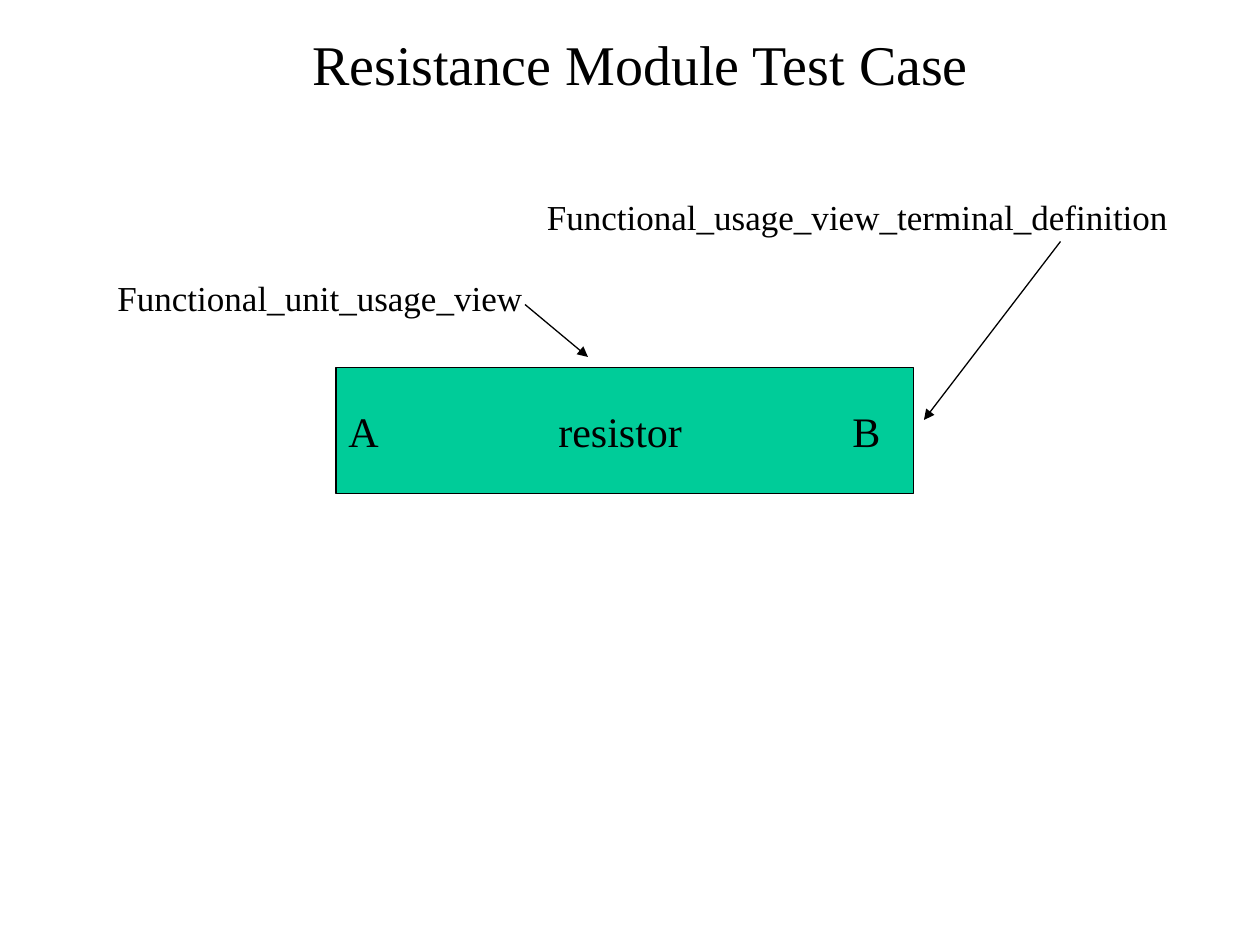
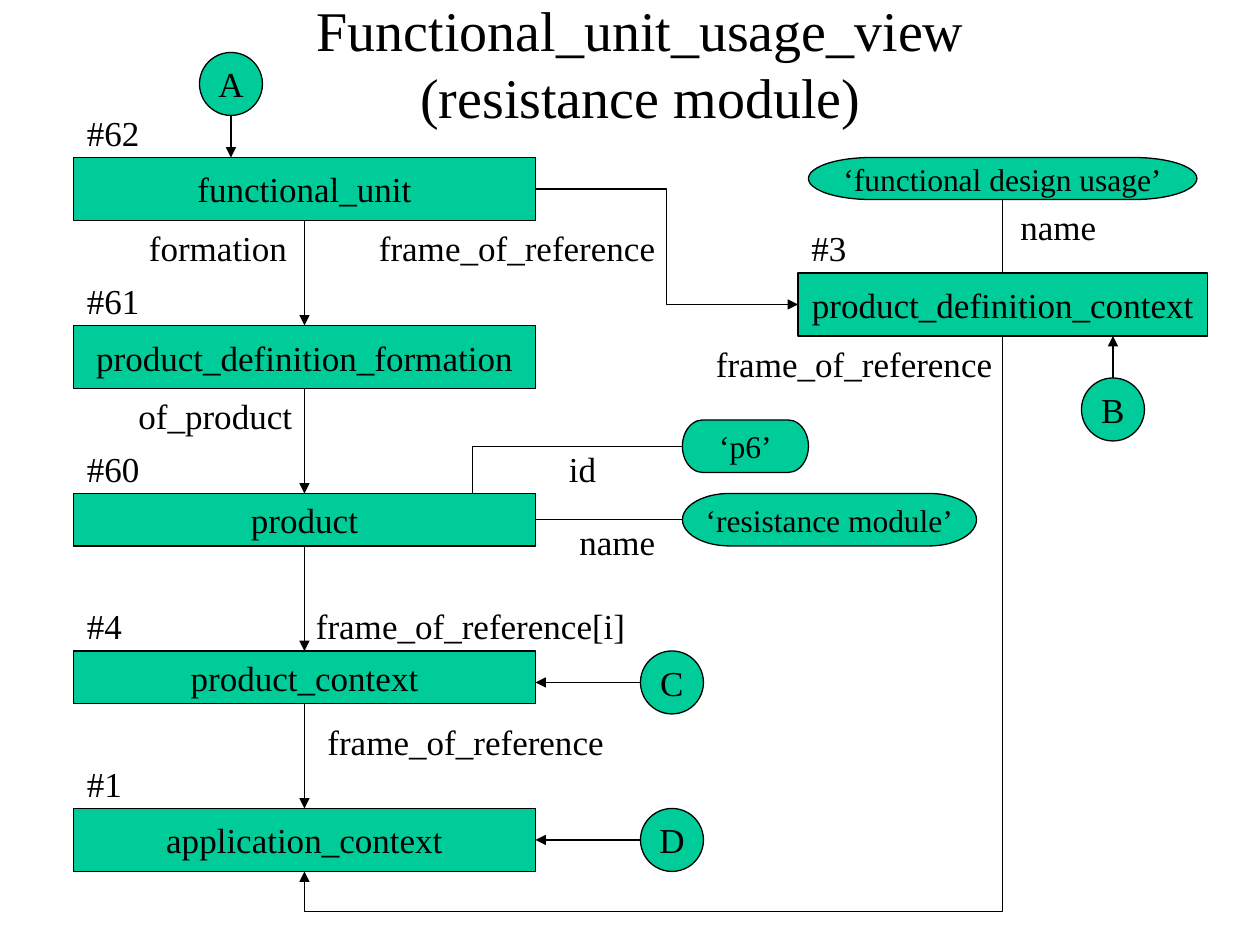
from lxml import etree
from pptx import Presentation
from pptx import util as u
from pptx.dml.color import RGBColor
from pptx.enum import shapes, text
from pptx.oxml.ns import qn

PX = 7620  # EMU per px, 120 px to the inch
FONT = "Times New Roman"
COLORS = {"ink": "000000", "node": "00CC99", "paper": "FFFFFF"}
TOP, LEFT, BOTTOM, RIGHT = range(4)
KIND = shapes.MSO_SHAPE


def color(name):
    return RGBColor.from_string(COLORS[name])


def px(*lengths):
    return [u.Emu(round(length * PX)) for length in lengths]


def midpoint(shape, side):
    """Middle of one side of a shape, in px."""
    x, y = shape.left / PX, shape.top / PX
    w, h = shape.width / PX, shape.height / PX
    return {TOP: (x + w / 2, y), LEFT: (x, y + h / 2),
            BOTTOM: (x + w / 2, y + h), RIGHT: (x + w, y + h / 2)}[side]


class Diagram:
    def __init__(self, deck):
        self.deck = deck
        self.slide = None

    def start_slide(self, heading):
        self.slide = self.deck.slides.add_slide(self.deck.slide_layouts[5])
        self.slide.background.fill.solid()
        self.slide.background.fill.fore_color.rgb = color("paper")
        title = self.slide.shapes.title
        title.left, title.top, title.width, title.height = px(100, 20, 1020, 80)
        self.set_text(title, heading, 32, text.PP_ALIGN.CENTER, wrap=True)

    def set_text(self, shape, words, size, align, wrap=False,
                 anchor=text.MSO_ANCHOR.MIDDLE):
        frame = shape.text_frame
        frame.auto_size = text.MSO_AUTO_SIZE.NONE
        frame.word_wrap = wrap
        frame.vertical_anchor = anchor
        frame.text = words
        for paragraph in frame.paragraphs:
            paragraph.alignment = align
            paragraph.font.name = FONT
            paragraph.font.size = u.Pt(size)
            paragraph.font.color.rgb = color("ink")

    def label(self, words, x, y, w, size=20):
        box = self.slide.shapes.add_textbox(*px(x, y, w, 53))
        self.set_text(box, words, size, text.PP_ALIGN.LEFT,
                      anchor=text.MSO_ANCHOR.TOP)

    def node(self, words, x, y, w, h, kind=KIND.RECTANGLE, size=20):
        shape = self.slide.shapes.add_shape(kind, *px(x, y, w, h))
        shape.shadow.inherit = False
        shape.fill.solid()
        shape.fill.fore_color.rgb = color("node")
        shape.line.color.rgb = color("ink")
        shape.line.width = u.Pt(0.75)
        if words:
            self.set_text(shape, words, size, text.PP_ALIGN.CENTER)
        return shape

    def entity(self, code, words, x, y, w, h):
        """Rectangle with its instance number above the top left corner."""
        self.label(code, x + 1, y - 50, 28 + 15 * len(code))
        return self.node(words, x, y, w, h)

    def value(self, words, x, y, w, h):
        return self.node(words, x, y, w, h, KIND.FLOWCHART_TERMINATOR, 18)

    def reference(self, letter, x, y):
        return self.node(letter, x, y, 60, 60, KIND.FLOWCHART_CONNECTOR)

    def link(self, begin, end, arrow=True, kind=shapes.MSO_CONNECTOR.STRAIGHT):
        """Line between two ends, each a point or a (shape, side) to join."""
        points = [e if isinstance(e[0], (int, float)) else midpoint(*e)
                  for e in (begin, end)]
        line = self.slide.shapes.add_connector(kind, *px(*points[0], *points[1]))
        if points[0] != begin:
            line.begin_connect(*begin)
        if points[1] != end:
            line.end_connect(*end)
        line.line.color.rgb = color("ink")
        line.line.width = u.Pt(0.75)
        properties = line._element.spPr
        if arrow:
            etree.SubElement(properties.find(qn("a:ln")), qn("a:tailEnd"),
                             type="triangle")
        etree.SubElement(properties, qn("a:effectLst"))
        return line

    def loop_below(self, upper, lower, reach):
        """Elbow from bottom to bottom; reach is the drop relative to the gap."""
        (x1, y1), (x2, y2) = midpoint(upper, BOTTOM), midpoint(lower, BOTTOM)
        cx, cy = (x1 + x2) / 2, (y1 + y2) / 2
        half_w, half_h = (y2 - y1) / 2, (x1 - x2) / 2
        # The elbow is laid out sideways, then turned a quarter
        line = self.link((cx - half_w, cy - half_h), (cx + half_w, cy + half_h),
                         kind=shapes.MSO_CONNECTOR.ELBOW)
        properties = line._element.spPr
        properties.find(qn("a:xfrm")).set("rot", "5400000")
        geometry = properties.find(qn("a:prstGeom"))
        guides = geometry.find(qn("a:avLst"))
        if guides is None:
            guides = etree.SubElement(geometry, qn("a:avLst"))
        etree.SubElement(guides, qn("a:gd"), name="adj1",
                         fmla=f"val {round(reach * 100000)}")


def resistor_slide(d):
    d.start_slide("Resistance Module Test Case")
    d.node("", 320, 350, 550, 120)
    for words, x, w in (("A", 320, 110), ("resistor", 520, 160), ("B", 800, 80)):
        d.label(words, x, 380, w, size=24)
    d.label("Functional_unit_usage_view", 100, 257, 409)
    d.link((500, 290), (560, 340))
    d.label("Functional_usage_view_terminal_definition", 509, 180, 616)
    d.link((1010, 230), (880, 400))


def usage_view_slide(d):
    d.start_slide("Functional_unit_usage_view\v(resistance module)")

    chain = [d.entity(code, words, 70, y, 440, h) for code, words, y, h in (
        ("#62", "functional_unit", 150, 60),
        ("#61", "product_definition_formation", 310, 60),
        ("#60", "product", 470, 50),
        ("#4", "product_context", 620, 50),
        ("#1", "application_context", 770, 60))]
    for upper, lower in zip(chain, chain[1:]):
        d.link((upper, BOTTOM), (lower, TOP))
    unit, _, product, _, application = chain

    context = d.entity("#3", "product_definition_context", 760, 260, 390, 60)
    d.link((unit, RIGHT), (context, LEFT), kind=shapes.MSO_CONNECTOR.ELBOW)
    d.loop_below(context, application, 1.075)

    usage = d.value("‘functional design usage’", 770, 150, 370, 40)
    d.link((usage, BOTTOM), (context, TOP), arrow=False)
    module = d.value("‘resistance module’", 650, 470, 280, 50)
    d.link((product, RIGHT), (module, LEFT), arrow=False)
    product_id = d.value("‘p6’", 650, 400, 120, 50)
    d.link((450, 470), (450, 425), arrow=False)
    d.link((450, 425), (product_id, LEFT), arrow=False)

    for letter, x, y, begin, end in (
            ("A", 190, 50, (220, 110), (220, 150)),
            ("B", 1030, 360, (1060, 360), (1060, 320)),
            ("C", 610, 620, (610, 650), (510, 650)),
            ("D", 610, 770, (610, 800), (application, RIGHT))):
        d.reference(letter, x, y)
        d.link(begin, end)

    for words, x, y, w in (
            ("formation", 130, 210, 156),
            ("of_product", 120, 370, 170),
            ("frame_of_reference[i]", 289, 570, 318),
            ("frame_of_reference", 300, 680, 287),
            ("frame_of_reference", 349, 210, 287),
            ("frame_of_reference", 670, 320, 287),
            ("name", 960, 190, 96),
            ("name", 540, 490, 96),
            ("id", 530, 420, 49)):
        d.label(words, x, y, w)


def main():
    deck = Presentation()
    deck.slide_width, deck.slide_height = px(1200, 900)
    diagram = Diagram(deck)
    resistor_slide(diagram)
    usage_view_slide(diagram)
    deck.save("out.pptx")


if __name__ == "__main__":
    main()
